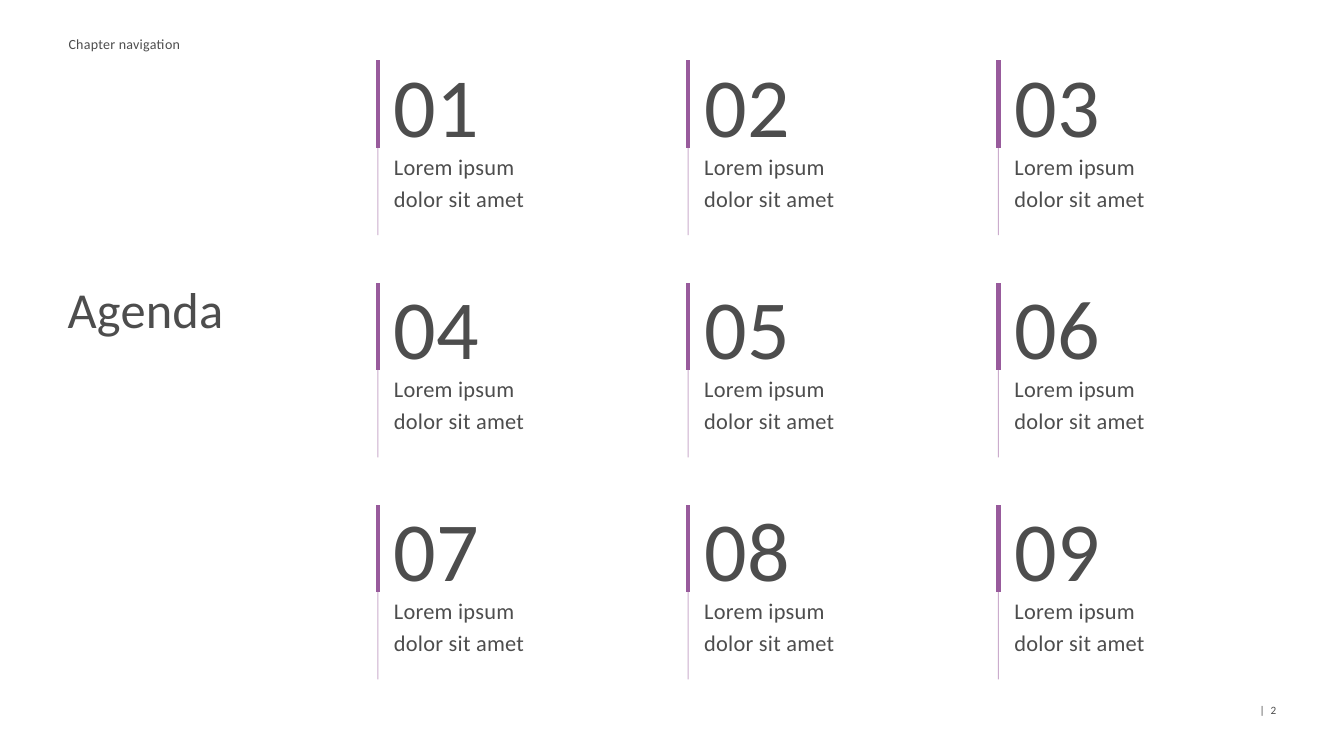
"""Build an agenda slide with nine numbered chapters on a three by three grid."""
import lxml.etree
import pptx
import pptx.util
import pptx.dml.color
import pptx.enum.shapes
import pptx.enum.text
import pptx.oxml.ns

COLORS = {"text": "4D4D4D", "accent": "985B9C"}
ANCHOR = pptx.enum.text.MSO_ANCHOR
ALIGN = pptx.enum.text.PP_ALIGN
WIDTH, HEIGHT = 13.33, 7.5
MARGIN, GAP_X = 0.67, 0.32
TOP, BOTTOM, GAP_Y = 0.6, 6.74, 0.47
COLUMNS, ROWS = 4, 3
PITCH_X = (WIDTH - 2 * MARGIN + GAP_X) / COLUMNS
PITCH_Y = (BOTTOM - TOP + GAP_Y) / ROWS
COLUMN_WIDTH = PITCH_X - GAP_X
HALF_ROW = (PITCH_Y - GAP_Y) / 2
INDENT = 0.16


class AgendaSlide:
    """Hold the shared style and the slide being drawn."""

    def __init__(self, slide, font="Calibri", tracking=20):
        self.slide = slide
        self.font = font
        self.tracking = tracking

    def color(self, name):
        return pptx.dml.color.RGBColor.from_string(COLORS[name])

    def text(self, words, left, top, width, height, size,
             anchor=ANCHOR.TOP, align=ALIGN.LEFT, indent=0,
             leading=1.0, before=0, after=0):
        inches = map(pptx.util.Inches, (left, top, width, height))
        frame = self.slide.shapes.add_textbox(*inches).text_frame
        frame.word_wrap = True
        frame.vertical_anchor = anchor
        frame.margin_left = pptx.util.Inches(indent)
        frame.margin_top = frame.margin_right = frame.margin_bottom = 0
        paragraph = frame.paragraphs[0]
        paragraph.text = words
        paragraph.alignment = align
        paragraph.line_spacing = leading
        paragraph.space_before = pptx.util.Pt(before)
        paragraph.space_after = pptx.util.Pt(after)
        paragraph.font.name = self.font
        paragraph.font.size = pptx.util.Pt(size)
        paragraph.font.color.rgb = self.color("text")
        for run in paragraph.runs:
            run.font._element.set("spc", str(self.tracking))

    def rule(self, x, top, height, weight, opacity=100):
        ends = map(pptx.util.Inches, (x, top + height, x, top))
        rule = self.slide.shapes.add_connector(
            pptx.enum.shapes.MSO_CONNECTOR.STRAIGHT, *ends)
        rule.line.width = pptx.util.Pt(weight)
        rule.line.color.rgb = self.color("accent")
        properties = rule._element.spPr
        qn = pptx.oxml.ns.qn
        if opacity < 100:
            tint = properties.find(".//" + qn("a:srgbClr"))
            lxml.etree.SubElement(tint, qn("a:alpha"), val=str(opacity * 1000))
        lxml.etree.SubElement(properties, qn("a:effectLst"))

    def chapter(self, number, topic, column, row):
        left = MARGIN + column * PITCH_X
        top = TOP + row * PITCH_Y
        middle = top + HALF_ROW
        self.text(f"{number:02}", left, top, COLUMN_WIDTH, HALF_ROW, 60,
                  anchor=ANCHOR.MIDDLE, indent=INDENT)
        self.rule(left, top, HALF_ROW, 3)
        self.rule(left, middle, HALF_ROW, 0.75, opacity=50)
        self.text(topic, left, middle, COLUMN_WIDTH, HALF_ROW, 16,
                  indent=INDENT, leading=1.2, before=2, after=3)


presentation = pptx.Presentation()
presentation.slide_width = pptx.util.Inches(WIDTH)
presentation.slide_height = pptx.util.Inches(HEIGHT)
agenda = AgendaSlide(presentation.slides.add_slide(presentation.slide_layouts[6]))

agenda.text("Chapter navigation", MARGIN + 0.01, 0.36, 5.83, 0.16, 10,
            anchor=ANCHOR.BOTTOM)
agenda.text("Agenda", MARGIN, 1.31, COLUMN_WIDTH, 2.05, 36,
            anchor=ANCHOR.BOTTOM, leading=1.05)

topics = ["Lorem ipsum\vdolor sit amet"] * 9
for index, topic in enumerate(topics):
    row, column = divmod(index, COLUMNS - 1)
    agenda.chapter(index + 1, topic, column + 1, row)

agenda.text("|  2", WIDTH - MARGIN - 0.43, 6.98, 0.43, 0.16, 8, align=ALIGN.RIGHT)

presentation.save("out.pptx")
